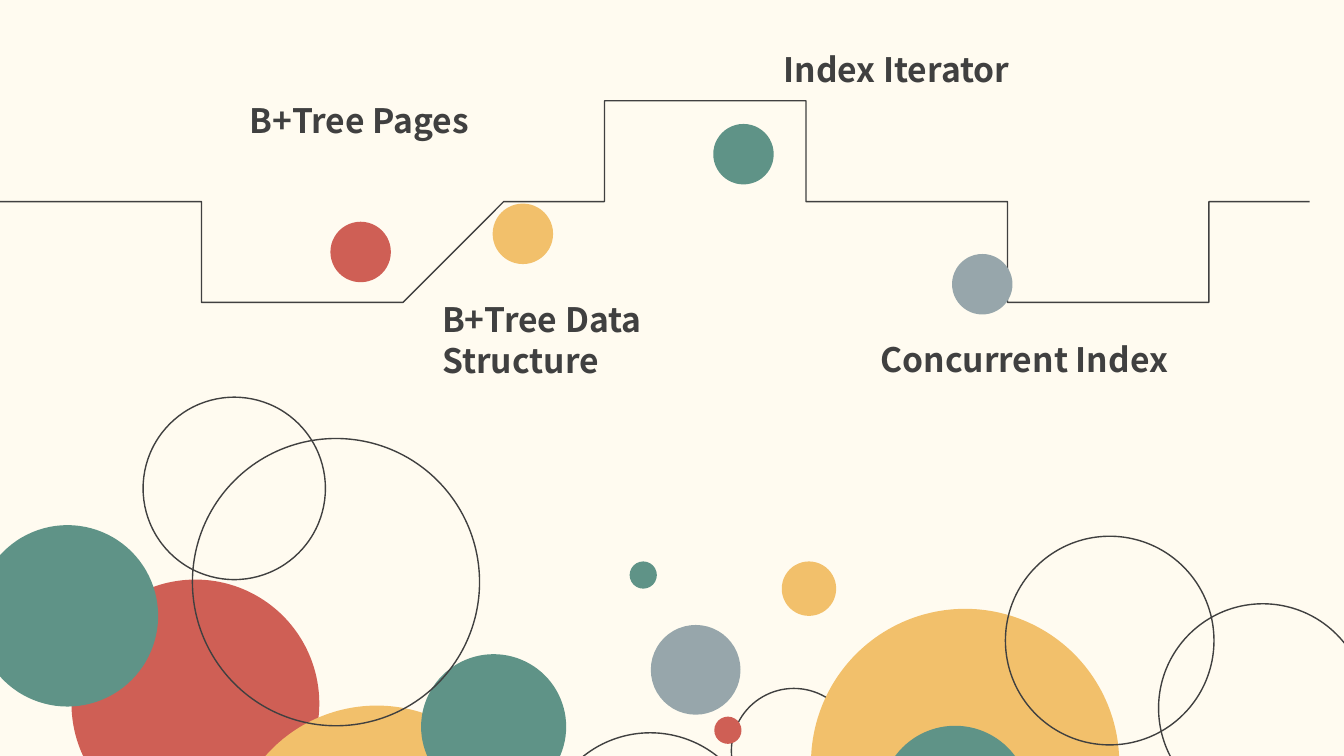
from pptx import Presentation
from pptx.dml.color import RGBColor
from pptx.enum.shapes import MSO_SHAPE
from pptx.util import Inches, Pt

CREAM = RGBColor(0xFF, 0xFB, 0xF0)
RED = RGBColor(0xCF, 0x5F, 0x55)
YELLOW = RGBColor(0xF2, 0xC0, 0x6B)
GREEN = RGBColor(0x5F, 0x93, 0x87)
GRAY = RGBColor(0x97, 0xA6, 0xAB)
DARK = RGBColor(0x40, 0x40, 0x40)
FONT = "Noto Sans CJK SC"
CURVE_STEPS = 30

presentation = Presentation()
presentation.slide_width = Inches(13.34)
presentation.slide_height = Inches(7.5)
slide = presentation.slides.add_slide(presentation.slide_layouts[6])
slide.background.fill.solid()
slide.background.fill.fore_color.rgb = CREAM


def format_shape(shape, color):
    """Fill with the color, or draw only a dark outline when it is None."""
    shape.shadow.inherit = False
    if color is None:
        shape.fill.background()
        shape.line.color.rgb = DARK
        shape.line.width = Pt(1)
    else:
        shape.fill.solid()
        shape.fill.fore_color.rgb = color
        shape.line.fill.background()


def add_circle(left, top, diameter, color):
    circle = slide.shapes.add_shape(
        MSO_SHAPE.OVAL, Inches(left), Inches(top), Inches(diameter), Inches(diameter))
    format_shape(circle, color)


# Decorative circles: left, top, diameter, color (None for an outline)
decorations = [
    (0.71, 5.75, 2.46, RED),
    (2.27, 7.0, 2.94, YELLOW),
    (4.18, 6.49, 1.44, GREEN),
    (5.39, 7.27, 2.13, None),
    (1.91, 4.35, 2.85, None),
    (-0.23, 5.21, 1.8, GREEN),
    (7.26, 6.83, 1.24, None),
    (8.05, 6.04, 3.06, YELLOW),
    (8.74, 7.2, 1.48, GREEN),
    (9.98, 5.32, 2.07, None),
    (11.5, 5.99, 2.07, None),
    (6.46, 6.2, 0.89, GRAY),
    (7.09, 7.11, 0.27, RED),
    (6.25, 5.57, 0.27, GREEN),
    (7.76, 5.57, 0.54, YELLOW),
    (1.42, 3.94, 1.81, None),
]
for decoration in decorations:
    add_circle(*decoration)

# Timeline wave: Bézier segments sampled into short lines
wave_start = (0, 1.77)
wave_segments = [
    ((1.42, 2.26), (2.83, 2.75), (3.96, 2.67)),
    ((5.08, 2.58), (5.64, 1.23), (6.76, 1.25)),
    ((7.87, 1.27), (9.55, 2.68), (10.65, 2.78)),
    ((11.74, 2.89), (12.54, 2.39), (13.34, 1.88)),
]
wave_points = []
segment_start = wave_start
for control_1, control_2, segment_end in wave_segments:
    for step in range(1, CURVE_STEPS + 1):
        t = step / CURVE_STEPS
        u = 1 - t
        wave_points.append([
            u**3 * a + 3 * u**2 * t * b + 3 * u * t**2 * c + t**3 * d
            for a, b, c, d in zip(segment_start, control_1, control_2, segment_end)])
    segment_start = segment_end
builder = slide.shapes.build_freeform(*wave_start, scale=Inches(1))
builder.add_line_segments(wave_points, close=False)
format_shape(builder.convert_to_shape(), None)

# Topics: marker left, top, color; label left, top, width, height, text
topics = [
    (3.28, 2.2, RED, 2.38, 0.94, 3.11, 0.5, "B+Tree Pages"),
    (4.89, 2.02, YELLOW, 4.29, 2.92, 3.08, 1.31, "B+Tree Data Structure"),
    (7.08, 1.23, GREEN, 7.68, 0.44, 3.11, 0.5, "Index Iterator"),
    (9.45, 2.52, GRAY, 8.64, 3.31, 3.11, 0.5, "Concurrent Index"),
]
label_format = {"name": FONT, "size": Pt(24), "bold": True}
for marker_left, marker_top, color, left, top, width, height, text in topics:
    add_circle(marker_left, marker_top, 0.6, color)
    label = slide.shapes.add_textbox(
        Inches(left), Inches(top), Inches(width), Inches(height))
    label.text_frame.word_wrap = True
    paragraph = label.text_frame.paragraphs[0]
    paragraph.text = text
    for attribute, value in label_format.items():
        setattr(paragraph.font, attribute, value)
    paragraph.font.color.rgb = DARK

presentation.save("out.pptx")
